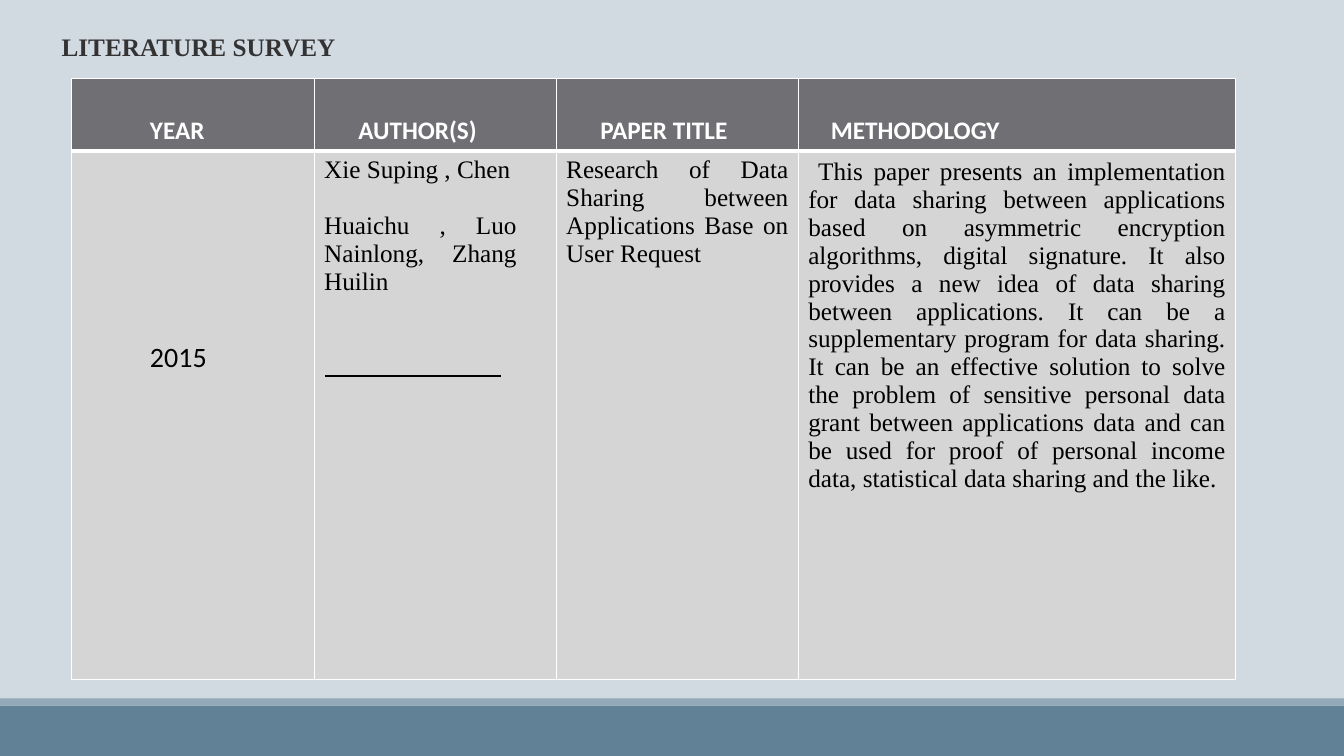
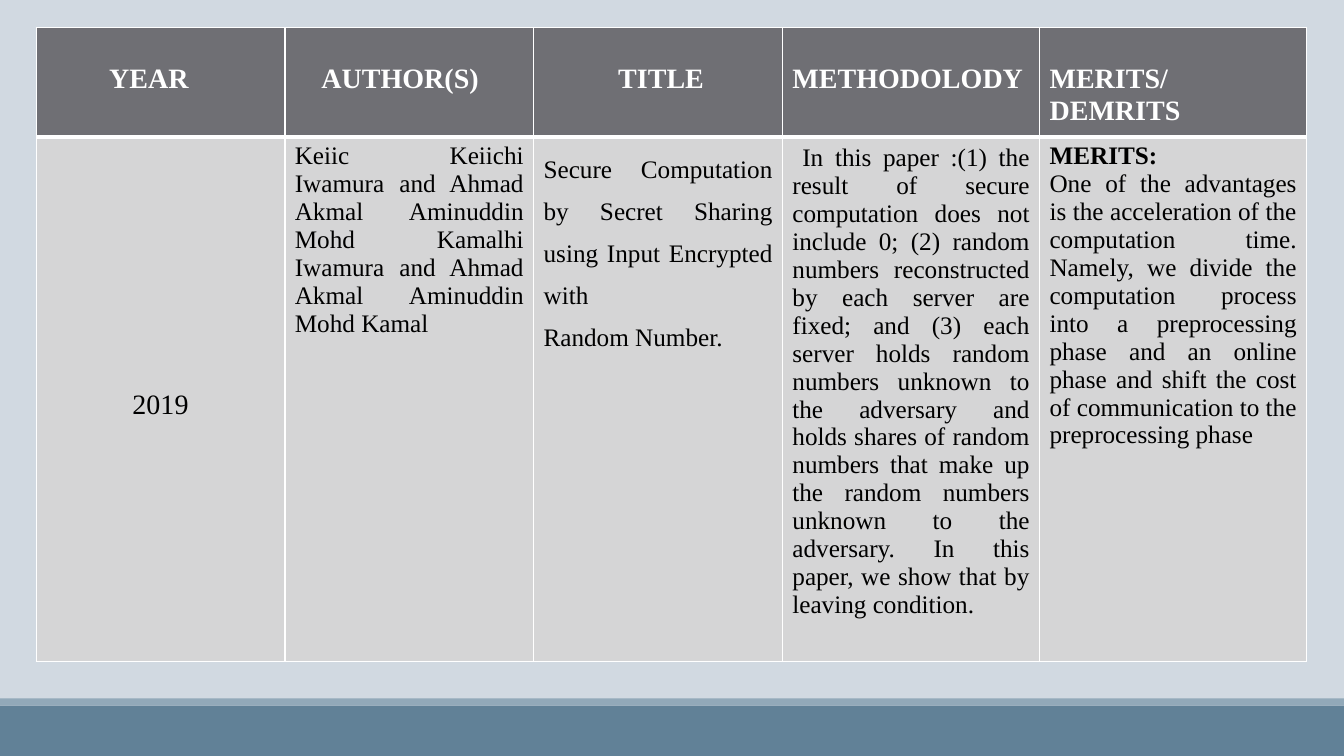
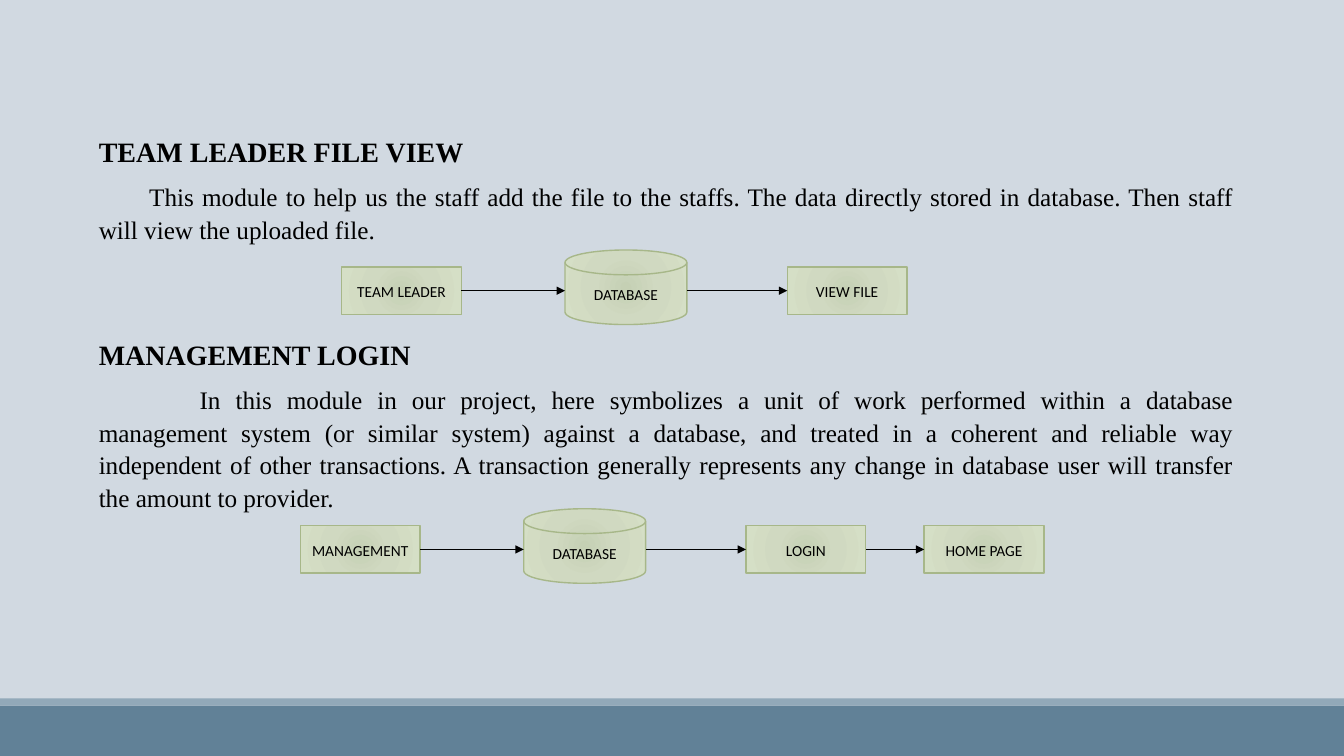
from dataclasses import dataclass
from typing import Any

from pptx import Presentation
from pptx.dml.color import RGBColor
from pptx.enum.shapes import MSO_CONNECTOR, MSO_SHAPE
from pptx.enum.text import MSO_ANCHOR, PP_ALIGN
from pptx.oxml import parse_xml
from pptx.oxml.ns import nsdecls
from pptx.util import Cm, Pt

RECT, DISK = MSO_SHAPE.RECTANGLE, MSO_SHAPE.FLOWCHART_MAGNETIC_DISK
STRAIGHT = MSO_CONNECTOR.STRAIGHT
LEFT, CENTER, JUSTIFY = PP_ALIGN.LEFT, PP_ALIGN.CENTER, PP_ALIGN.JUSTIFY
MIDDLE = MSO_ANCHOR.MIDDLE
LEFT_SIDE, RIGHT_SIDE = 1, 3
TITLE_ONLY, BLANK = 5, 6

WIDTH, HEIGHT = 33.87, 19.05
SERIF, SANS = "Times New Roman", "Calibri"
BACKGROUND, BAND, STRIPE = "D1D9E1", "618197", "92A9B9"
HEADER_FILL, BODY_FILL = "6F6F74", "D5D5D6"
BLACK, WHITE, TITLE_COLOR = "000000", "FFFFFF", "333333"
NODE_LINE = "A7B789"
NODE_STOPS = ((0, "C5D0B4"), (45, "D0D9C1"), (100, "D5DFC6"))


def rgb(value):
    return RGBColor.from_string(value)


@dataclass
class Para:
    text: str
    size: float = 18
    font: str = SERIF
    bold: bool = False
    color: str = BLACK
    align: Any = JUSTIFY
    indent: float = 0
    spacing: Any = None
    before: float = 0
    after: float = 0


@dataclass
class Cell:
    paras: list
    left: float = 0.25
    top: float = 0.13
    right: float = 0.25


class Deck:
    """Holds the shared style and the slide being built."""

    def __init__(self):
        self.prs = Presentation()
        self.prs.slide_width, self.prs.slide_height = Cm(WIDTH), Cm(HEIGHT)
        fill = self.prs.slide_master.background.fill
        fill.solid()
        fill.fore_color.rgb = rgb(BACKGROUND)
        self.slide = None

    def new_slide(self, title=None):
        layout = self.prs.slide_layouts[TITLE_ONLY if title else BLANK]
        self.slide = self.prs.slides.add_slide(layout)
        self.band(17.78, 1.27, BAND)
        self.band(17.6, 0.18, STRIPE)
        if title:
            heading = self.slide.shapes.title
            heading.left, heading.top = Cm(1.3), Cm(0.66)
            heading.width, heading.height = Cm(16.94), Cm(1.02)
            heading.text_frame.vertical_anchor = MIDDLE
            self.add_paras(heading.text_frame,
                           [Para(title, bold=True, color=TITLE_COLOR, align=LEFT)])

    def band(self, top, height, color):
        band = self.slide.shapes.add_shape(RECT, 0, Cm(top), Cm(WIDTH), Cm(height))
        band.shadow.inherit = False
        band.fill.solid()
        band.fill.fore_color.rgb = rgb(color)
        band.line.fill.background()

    def add_paras(self, frame, paras):
        frame.word_wrap = True
        for i, item in enumerate(paras):
            para = frame.add_paragraph() if i else frame.paragraphs[0]
            para.alignment = item.align
            para.space_before, para.space_after = Pt(item.before), Pt(item.after)
            if item.spacing:
                para.line_spacing = item.spacing
            if item.indent:
                props = para._p.get_or_add_pPr()
                props.set("marL", "0")
                props.set("indent", str(Cm(item.indent)))
            run = para.add_run()
            run.text = item.text
            run.font.name, run.font.size = item.font, Pt(item.size)
            run.font.bold = item.bold
            run.font.color.rgb = rgb(item.color)

    def text(self, left, top, width, height, paras):
        box = self.slide.shapes.add_textbox(Cm(left), Cm(top), Cm(width), Cm(height))
        self.add_paras(box.text_frame, paras)

    def table(self, left, top, columns, heights, rows):
        table = self.slide.shapes.add_table(
            len(rows), len(columns), Cm(left), Cm(top),
            Cm(sum(columns)), Cm(sum(heights))).table
        table.horz_banding = False
        for column, width in zip(table.columns, columns):
            column.width = Cm(width)
        for r, row in enumerate(rows):
            table.rows[r].height = Cm(heights[r])
            for c, content in enumerate(row):
                self.fill_cell(table.cell(r, c), content, header=r == 0)

    def fill_cell(self, cell, content, header):
        cell.margin_left, cell.margin_right = Cm(content.left), Cm(content.right)
        cell.margin_top = Cm(content.top)
        self.add_paras(cell.text_frame, content.paras)
        props = cell._tc.get_or_add_tcPr()
        for side in "LRTB":
            # The header's lower rule touches both rows
            points = 3 if side == ("B" if header else "T") else 1
            props.append(parse_xml(
                f'<a:ln{side} {nsdecls("a")} w="{Pt(points)}"><a:solidFill>'
                f'<a:srgbClr val="{WHITE}"/></a:solidFill></a:ln{side}>'))
        cell.fill.solid()
        cell.fill.fore_color.rgb = rgb(HEADER_FILL if header else BODY_FILL)

    def node(self, kind, left, top, width, height, label):
        node = self.slide.shapes.add_shape(
            kind, Cm(left), Cm(top), Cm(width), Cm(height))
        node.shadow.inherit = False
        stops = "".join(f'<a:gs pos="{pos * 1000}"><a:srgbClr val="{color}"/></a:gs>'
                        for pos, color in NODE_STOPS)
        node.element.spPr.prstGeom.addnext(parse_xml(
            f'<a:gradFill {nsdecls("a")}><a:gsLst>{stops}</a:gsLst>'
            '<a:path path="circle"><a:fillToRect l="100000" t="100000" '
            'r="100000" b="100000"/></a:path></a:gradFill>'))
        node.line.color.rgb = rgb(NODE_LINE)
        node.line.width = Pt(1)
        frame = node.text_frame
        frame.margin_left = frame.margin_right = Cm(0.1)
        frame.vertical_anchor = MIDDLE
        self.add_paras(frame, [Para(label, 11, SANS, align=CENTER,
                                    spacing=1.07, after=8)])
        return node

    def line(self, x1, y1, x2, y2, arrow=False):
        line = self.slide.shapes.add_connector(STRAIGHT, x1, y1, x2, y2)
        line.line.color.rgb = rgb(BLACK)
        line.line.width = Pt(1)
        props = line.element.spPr
        if arrow:
            props.get_or_add_ln().append(
                parse_xml(f'<a:tailEnd {nsdecls("a")} type="triangle"/>'))
        props.append(parse_xml(f'<a:effectLst {nsdecls("a")}/>'))
        return line

    def flow(self, left, top, labels):
        """A row of nodes joined by arrows; the database is a disk."""
        nodes = []
        for label, offset in zip(labels, (0, 5.63, 11.23, 15.72)):
            if label == "DATABASE":
                shape = (DISK, left + offset, top - 0.43, 3.07, 1.88)
            else:
                shape = (RECT, left + offset, top, 3.02, 1.19)
            nodes.append(self.node(*shape, label))
        middle = Cm(top + 1.19 / 2)
        for start, end in zip(nodes, nodes[1:]):
            arrow = self.line(start.left + start.width, middle, end.left, middle, True)
            if start.auto_shape_type == RECT:
                arrow.begin_connect(start, RIGHT_SIDE)
            if end.auto_shape_type == RECT:
                arrow.end_connect(end, LEFT_SIDE)


def header(labels, size, font):
    """Header cells from (label, left margin) pairs."""
    return [Cell([Para(label, size, font, True, WHITE, LEFT)], left=left, top=0.92)
            for label, left in labels]


def module(name, description, indent, before=0):
    """A module heading and its description."""
    return [Para(name, 20, bold=True, spacing=Pt(25.8), before=before, after=8),
            Para(description, indent=indent, spacing=Pt(23.2), after=8)]


def main():
    deck = Deck()

    # Literature survey, 2015
    deck.new_slide("LITERATURE SURVEY")
    deck.table(1.8, 1.98, (6.12, 6.1, 6.1, 11.02), (1.8, 13.31), [
        header([("YEAR", 1.98), ("AUTHOR(S)", 1.11), ("PAPER TITLE", 1.11),
                ("METHODOLOGY", 0.82)], 18, SANS),
        [
            Cell([Para("2015", 20, SANS, align=LEFT)], left=1.98, top=4.78),
            Cell([Para("Xie Suping , Chen", after=20),
                  Para("Huaichu , Luo Nainlong, Zhang Huilin")], right=1),
            Cell([Para("Research of Data Sharing between Applications Base on "
                       "User Request")]),
            Cell([Para(
                "This paper presents an implementation for data sharing between "
                "applications based on asymmetric encryption algorithms, digital "
                "signature. It also provides a new idea of data sharing between "
                "applications. It can be a supplementary program for data sharing. "
                "It can be an effective solution to solve the problem of sensitive "
                "personal data grant between applications data and can be used for "
                "proof of personal income data, statistical data sharing and the "
                "like.", indent=0.25)], top=0.18),
        ],
    ])
    deck.line(Cm(8.19), Cm(9.47), Cm(12.62), Cm(9.47))

    # Literature survey, 2019
    deck.new_slide()
    deck.table(0.91, 0.69, (6.27, 6.27, 6.27, 6.48, 6.73), (2.77, 13.21), [
        header([("YEAR", 1.84), ("AUTHOR(S)", 0.92), ("TITLE", 2.13),
                ("METHODOLODY", 0.25), ("MERITS/DEMRITS", 0.25)], 20, SERIF),
        [
            Cell([Para("2019", 20, align=CENTER)], top=6.36),
            Cell([Para("Keiic Keiichi Iwamura and Ahmad Akmal Aminuddin Mohd "
                       "Kamalhi Iwamura and Ahmad Akmal Aminuddin Mohd Kamal")]),
            Cell([Para("Secure Computation by Secret Sharing using Input "
                       "Encrypted with", spacing=1.5),
                  Para("Random Number.", spacing=1.5)]),
            Cell([Para(
                "In this paper :(1) the result of secure computation does not "
                "include 0; (2) random numbers reconstructed by each server are "
                "fixed; and (3) each server holds random numbers unknown to the "
                "adversary and holds shares of random numbers that make up the "
                "random numbers unknown to the adversary. In this paper, we show "
                "that by leaving condition.", indent=0.25)], top=0.18),
            Cell([Para("MERITS:", bold=True),
                  Para("One of the advantages is the acceleration of the "
                       "computation time. Namely, we divide the computation "
                       "process into a preprocessing phase and an online phase "
                       "and shift the cost of communication to the "
                       "preprocessing phase")]),
        ],
    ])

    # Modules and their flows
    deck.new_slide()
    deck.text(2.24, 3.2, 29.11, 9.88, [
        *module("TEAM LEADER FILE VIEW",
                "This module to help us the staff add the file to the staffs. The "
                "data directly stored in database. Then staff will view the "
                "uploaded file.", 1.27),
        *module("MANAGEMENT LOGIN",
                "In this module in our project, here symbolizes a unit of work "
                "performed within a database management system (or similar system) "
                "against a database, and treated in a coherent and reliable way "
                "independent of other transactions. A transaction generally "
                "represents any change in database user will transfer the amount "
                "to provider.", 2.54, before=57),
    ])
    deck.flow(8.61, 6.73, ["TEAM LEADER", "DATABASE", "VIEW FILE"])
    deck.flow(7.57, 13.25, ["MANAGEMENT", "DATABASE", "LOGIN", "HOME PAGE"])

    deck.prs.save("out.pptx")


if __name__ == "__main__":
    main()
